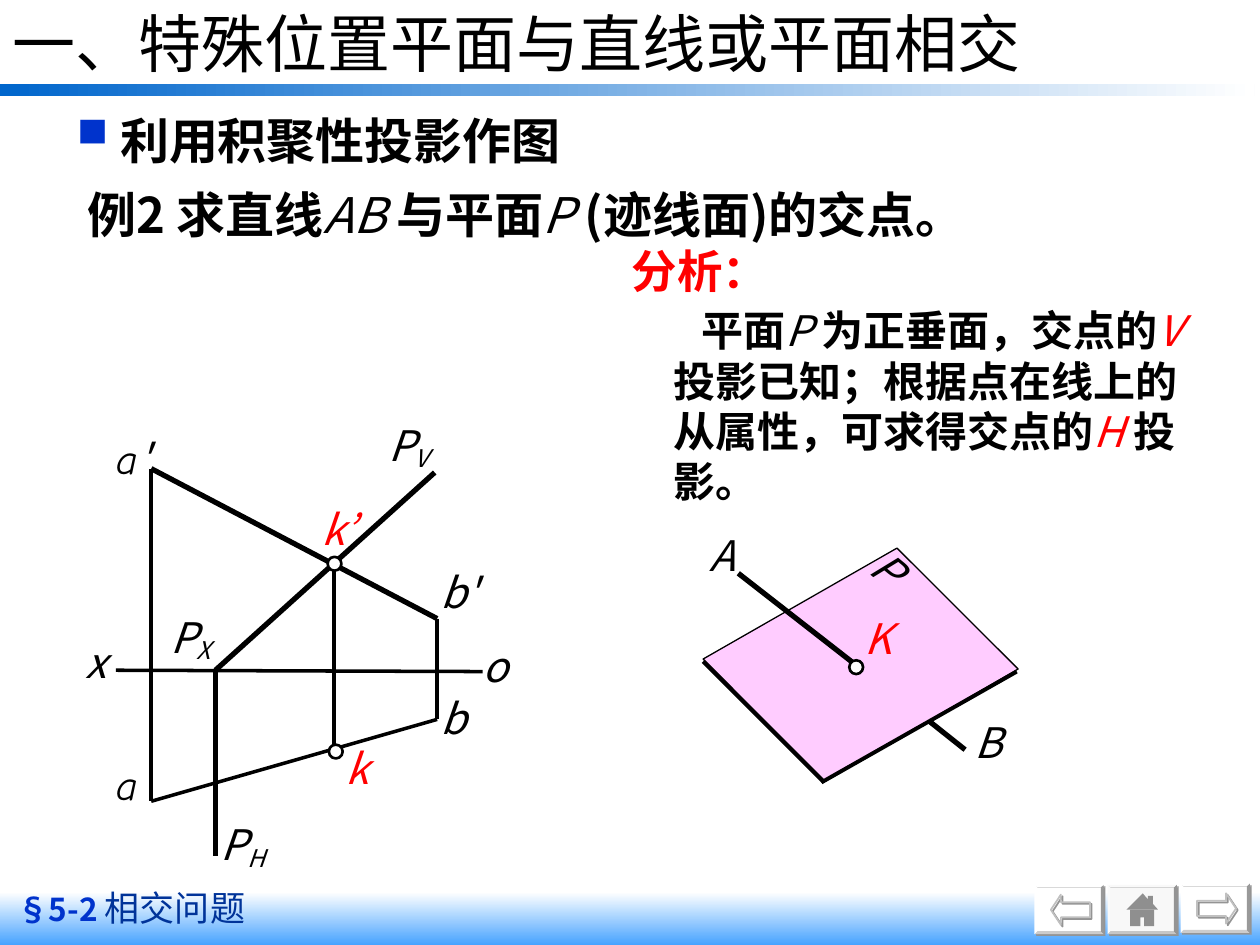
from lxml import etree
from pptx import Presentation
from pptx.dml import color
from pptx.enum import shapes, text
from pptx.oxml import ns
from pptx.util import Pt

COLORS = {"black": "000000", "white": "FFFFFF", "red": "FF0000", "blue": "0033CC",
          "navy": "003399", "bar": "0066CC", "footer": "47A3FF", "pink": "FFCCFF",
          "button": "F8F8F8", "edge": "C0C0C0", "shade": "949494", "home": "8F8F8F"}
CJK, SLANT, COMIC = "Noto Sans CJK SC", "Noto Sans CJK JP", "Comic Neue"
SHAPE = shapes.MSO_SHAPE
HAIR, THICK, EDGE = 0, 3, 2.25


def rgb(name):
    return color.RGBColor.from_string(COLORS[name])


def add_child(parent, tag, **attributes):
    return etree.SubElement(parent, ns.qn(tag), {k: str(v) for k, v in attributes.items()})


def paint(shape, fill=None, line=None, weight=1):
    shape.shadow.inherit = False
    if fill:
        shape.fill.solid()
        shape.fill.fore_color.rgb = rgb(fill)
    else:
        shape.fill.background()
    if line:
        shape.line.color.rgb = rgb(line)
        shape.line.width = Pt(weight)
    else:
        shape.line.fill.background()


def add_shape(page, kind, left, top, width, height, **look):
    shape = page.shapes.add_shape(kind, Pt(left), Pt(top), Pt(width), Pt(height))
    paint(shape, **look)
    return shape


def add_polygon(page, points, **look):
    builder = page.shapes.build_freeform(Pt(points[0][0]), Pt(points[0][1]), scale=1.0)
    builder.add_line_segments([(Pt(x), Pt(y)) for x, y in points[1:]])
    shape = builder.convert_to_shape()
    paint(shape, **look)
    return shape


def add_line(page, start, end, weight):
    line = page.shapes.add_connector(shapes.MSO_CONNECTOR.STRAIGHT,
                                     *(Pt(value) for value in start + end))
    line.line.color.rgb = rgb("black")
    line.line.width = Pt(weight)
    add_child(line._element.spPr, "a:effectLst")


def add_gradient_bar(page, left, top, width, height, stops, angle):
    bar = add_shape(page, SHAPE.RECTANGLE, left, top, width, height)
    bar.fill.gradient()
    bar.fill.gradient_angle = angle
    for stop, name in zip(bar.fill.gradient_stops, stops):
        stop.color.rgb = rgb(name)


def add_shadow(shape):
    effects = shape._element.spPr.find(ns.qn("a:effectLst"))
    shadow = add_child(effects, "a:outerShdw", dist=Pt(1.4), dir=45 * 60000, algn="ctr",
                       rotWithShape=0)
    add_child(shadow, "a:srgbClr", val=COLORS["shade"])


def add_span(para, words, font=CJK, size=24, ink="black", bold=False, italic=False,
             baseline=0):
    span = para.add_run()
    span.text = words
    span.font.name, span.font.size = font, Pt(size)
    span.font.bold, span.font.italic = bold, italic
    span.font.color.rgb = rgb(ink)
    add_child(span.font._element, "a:ea", typeface=CJK)
    if baseline:
        span.font._element.set("baseline", str(baseline * 1000))


def add_text(page, left, top, width, height, spans, margin=(7.2, 3.6), indent=0, first=0,
             bullet=False, wrap=True, **style):
    """Place one paragraph; spans are (words, overrides of style) pairs."""
    box = page.shapes.add_textbox(Pt(left), Pt(top), Pt(width), Pt(height))
    frame = box.text_frame
    frame.word_wrap = wrap
    frame.margin_left = frame.margin_right = Pt(margin[0])
    frame.margin_top = frame.margin_bottom = Pt(margin[1])
    para = frame.paragraphs[0]
    props = para._p.get_or_add_pPr()
    props.set("marL", str(Pt(indent)))
    props.set("indent", str(Pt(first)))
    if bullet:
        add_child(add_child(props, "a:buClr"), "a:srgbClr", val=COLORS["blue"])
        add_child(props, "a:buSzPct", val=150000)
        add_child(props, "a:buChar", char="▪")
    for words, override in spans:
        add_span(para, words, **{**style, **override})
    return box


def add_label(page, left, top, words, tail="", lowered=True, width=36, font=SLANT,
              ink="black"):
    spans = [(words, {"font": font})]
    if tail:
        spans.append((tail, {"baseline": -15 if lowered else 0}))
    return add_text(page, left, top, width, 28.8, spans, margin=(0, 0), wrap=False,
                    font=SLANT, ink=ink, italic=True)


def add_point(page, left, top):
    add_shape(page, SHAPE.OVAL, left, top, 7.9, 7.9, fill="white", line="black", weight=1.5)


def add_button(page, left, top, fill):
    button = add_shape(page, SHAPE.BEVEL, left, top, 39.6, 28.2, fill=fill)
    button.adjustments[0] = 0.06
    add_shadow(button)


def add_arrow(page, left, top, rotation):
    arrow = add_shape(page, SHAPE.RIGHT_ARROW, left, top, 22.3, 17.3, line="edge")
    arrow.adjustments[0], arrow.adjustments[1] = 0.5, 0.33
    arrow.rotation = rotation
    add_shadow(arrow)


def add_navigation(page):
    add_button(page, 591.1, 505.6, "white")
    add_arrow(page, 600.5, 511.2, 180)
    add_button(page, 632.9, 505.6, "button")
    add_polygon(page, [(653, 510.5), (656, 514), (656, 512), (658.8, 512), (658.8, 516.5),
                       (661.7, 519.8), (643.7, 519.8)], fill="home")
    add_polygon(page, [(645.8, 519.8), (659.5, 519.8), (659.5, 529.2), (653.8, 529.2),
                       (653.8, 524.2), (651.6, 524.2), (651.6, 529.2), (645.8, 529.2)],
                fill="home")
    add_button(page, 674.6, 504.9, "white")
    add_arrow(page, 684, 510.5, 0)


def add_frame(page):
    add_gradient_bar(page, 0, 48.2, 717, 6.5, ("bar", "white"), 0)
    add_gradient_bar(page, 0, 509.8, 720, 30.2, ("white", "footer"), 270)
    add_text(page, 2.9, 503.3, 336, 31.7,
             [("§5-2 ", {"size": 18, "ink": "blue", "bold": True}),
              ("相交问题", {"size": 20, "ink": "navy"})])


def add_title(page, words):
    title = page.shapes.title
    title.left, title.top, title.width, title.height = Pt(0), Pt(0), Pt(612), Pt(48.2)
    frame = title.text_frame
    frame.auto_size = text.MSO_AUTO_SIZE.NONE
    frame.vertical_anchor = text.MSO_ANCHOR.MIDDLE
    frame.paragraphs[0].alignment = text.PP_ALIGN.LEFT
    add_span(frame.paragraphs[0], words, font="Roboto", size=36)


def add_explanation(page):
    symbol = {"font": SLANT, "bold": False, "italic": True}
    red = {**symbol, "ink": "red"}
    add_text(page, 30.2, 102.2, 660, 41,
             [("例2 求直线", {}), ("AB ", symbol), ("与平面", {}), ("P ", symbol),
              ("(迹线面)的交点。", {})], indent=12.8, size=28, bold=True)
    add_text(page, 30.2, 59.8, 660, 41, [("利用积聚性投影作图", {})],
             indent=22, first=-22, bullet=True, size=28, bold=True)
    add_text(page, 342, 135.4, 378, 38.9, [("分析：", {})],
             indent=12, size=26, ink="red", bold=True)
    add_text(page, 378, 170.6, 318.2, 122.4,
             [("平面", {}), ("P ", symbol), ("为正垂面，交点的", {}), ("V ", red),
              ("投影已知；根据点在线上的从属性，可求得交点的", {}), ("H ", red),
              ("投影。", {})], first=16, bold=True)


def add_projection(page):
    for start, end, weight in [
            ((66.2, 383), (285.8, 383.8), HAIR), ((249.8, 353.5), (249.8, 411.1), HAIR),
            ((86.4, 267.8), (86.4, 457.9), HAIR), ((249.8, 411.1), (86.4, 457.9), HAIR),
            ((86.4, 267.8), (249.8, 353.5), THICK), ((123.1, 383), (123.1, 488.9), THICK),
            ((123.1, 383), (248.4, 270), THICK), ((190.8, 322.6), (190.8, 427.7), HAIR)]:
        add_line(page, start, end, weight)
    add_point(page, 187.2, 318.2)
    add_point(page, 187.9, 425.5)
    add_label(page, 183.6, 288, "k’", ink="red")
    add_label(page, 197.3, 424.1, "k", ink="red")
    origin = add_label(page, 275.8, 365.8, "o", width=22.3)
    origin.fill.solid()
    origin.fill.fore_color.rgb = rgb("white")
    for left, top, words, tail in [(126, 468, "P", "H"), (221.8, 239.8, "P", "V"),
                                   (97.2, 349.2, "P", "X"), (252, 396, "b", ""),
                                   (252, 324, "b'", ""), (49, 363.6, "x", "")]:
        add_label(page, left, top, words, tail)
    add_label(page, 66.2, 433.4, "a", font=COMIC)
    add_label(page, 66.2, 247, "a", "'", lowered=False, font=COMIC)


def add_space_view(page):
    add_polygon(page, [(581.8, 382.3), (512.6, 313.2), (401.8, 376.6), (471.6, 446.4)],
                fill="pink", line="black", weight=HAIR)
    add_label(page, 500.4, 309.6, "P", width=13.7).rotation = 39.5
    for start, end, weight in [
            ((401.8, 378), (470.9, 447.1), EDGE), ((469.4, 447.1), (581, 383.8), EDGE),
            ((421.9, 327.6), (487.4, 378.7), THICK), ((530.6, 411.8), (551.5, 428.4), THICK)]:
        add_line(page, start, end, weight)
    add_label(page, 405.4, 302.4, "A")
    add_label(page, 556.6, 409.7, "B")
    add_label(page, 493.9, 349.9, "K", ink="red")
    add_point(page, 485.3, 377.3)


def main():
    deck = Presentation()
    deck.slide_width, deck.slide_height = Pt(720), Pt(540)
    page = deck.slides.add_slide(deck.slide_layouts[5])
    add_frame(page)
    add_title(page, "一、特殊位置平面与直线或平面相交")
    add_space_view(page)
    add_projection(page)
    add_explanation(page)
    add_navigation(page)
    deck.save("out.pptx")


if __name__ == "__main__":
    main()
